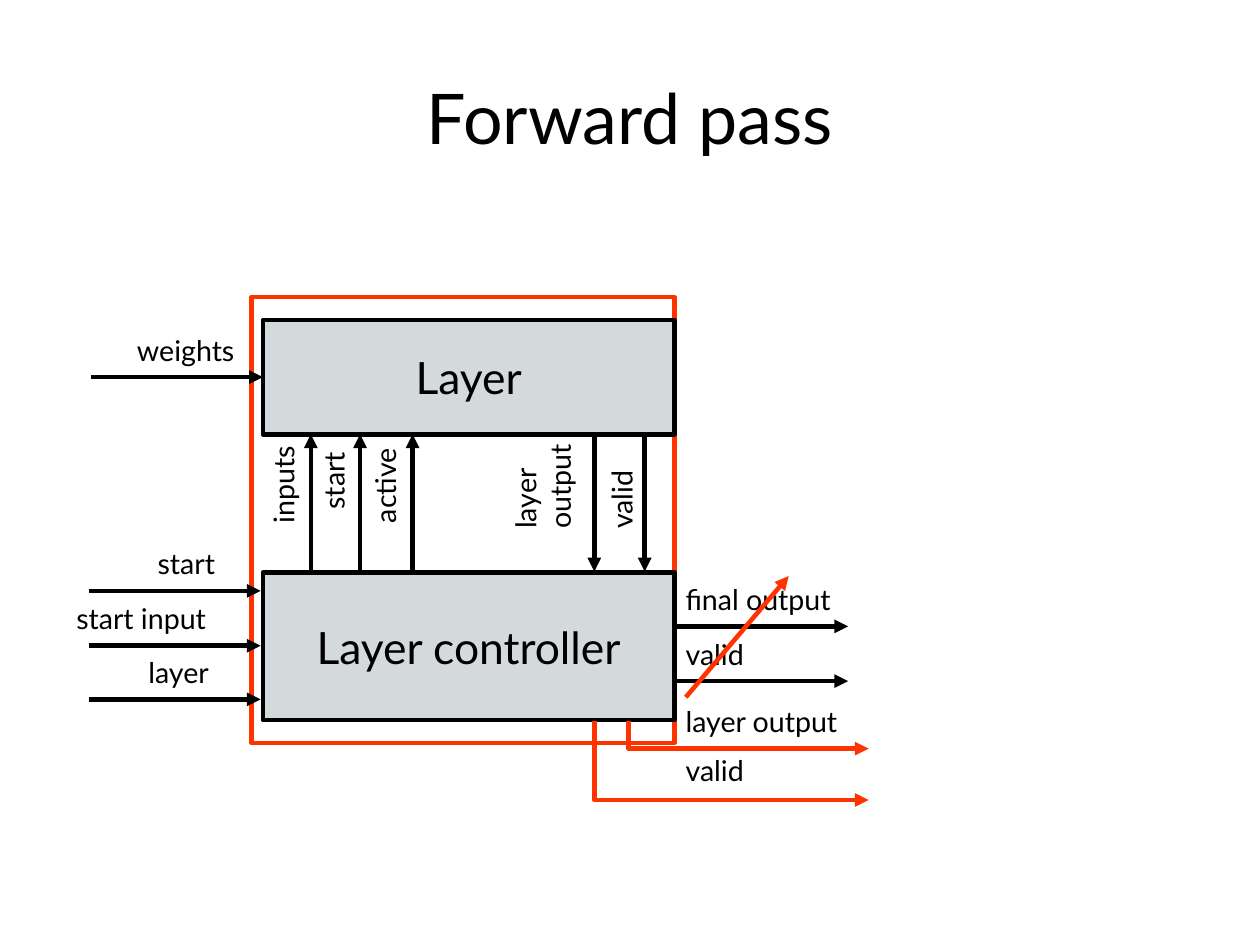
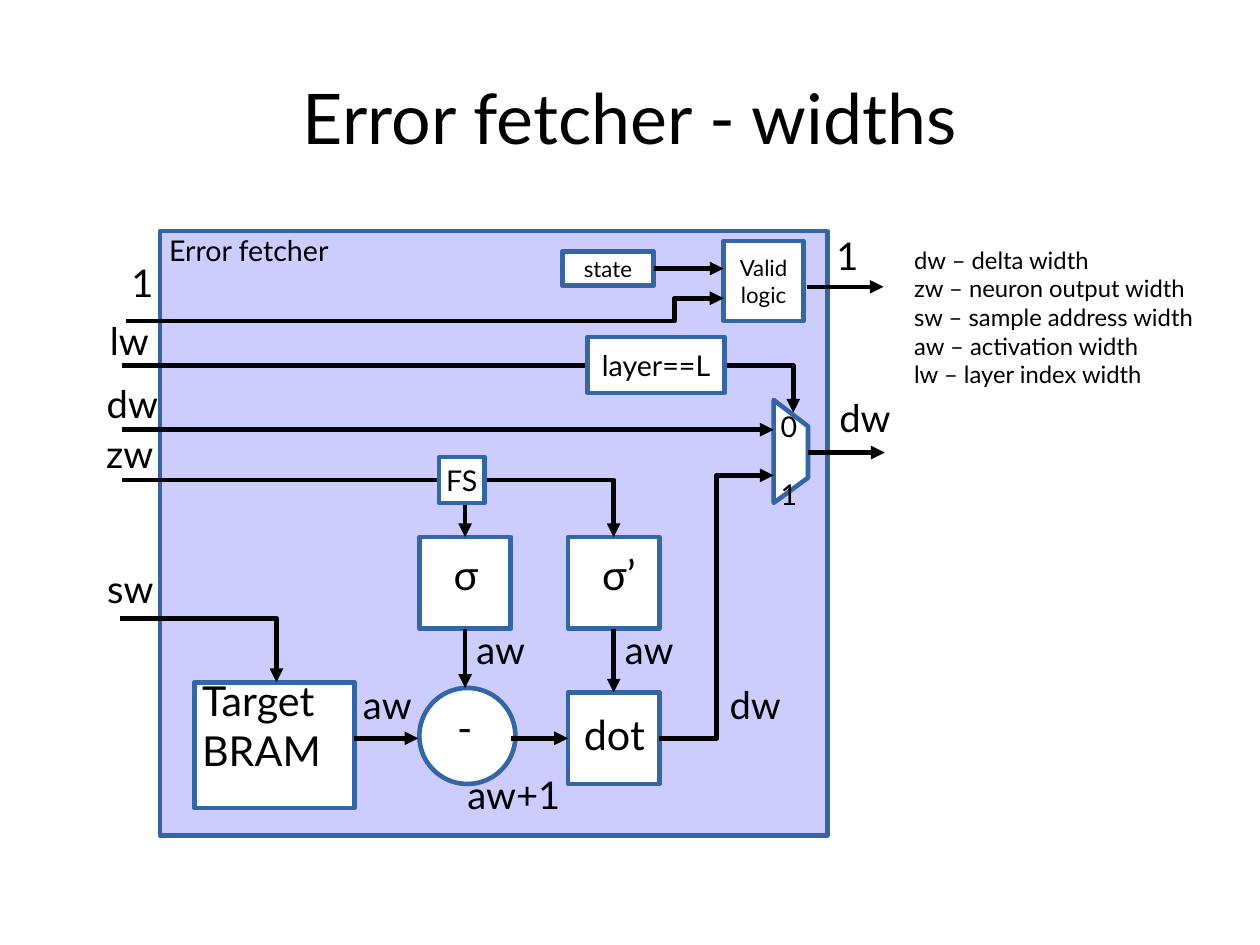
from lxml.etree import SubElement
from pptx import Presentation
from pptx.dml.color import RGBColor
from pptx.enum.shapes import MSO_CONNECTOR as CONN, MSO_SHAPE as SHAPE
from pptx.enum.text import MSO_ANCHOR as ANCHOR, PP_ALIGN as ALIGN
from pptx.oxml.ns import qn
from pptx.util import Pt

BLACK = RGBColor(0x00, 0x00, 0x00)
WHITE = RGBColor(0xFF, 0xFF, 0xFF)
RED = RGBColor(0xFF, 0x33, 0x00)
GREY = RGBColor(0xD4, 0xD9, 0xDB)
BLUE = RGBColor(0x34, 0x65, 0xA4)
LILAC = RGBColor(0xCC, 0xCC, 0xFF)

FONT = "Lato"
LINE_WIDTH = 2.89
LINE_HEIGHT = 1.22
INSETS = (7.2, 3.6, 7.2, 3.6)
TITLE_ONLY = 5


class Diagram:
    """Holds the shared style and the slide being drawn; lengths are points."""

    def __init__(self):
        self.prs = Presentation()
        self.prs.slide_width, self.prs.slide_height = Pt(793.7), Pt(595.3)

    def new_slide(self, title):
        slide = self.prs.slides.add_slide(self.prs.slide_layouts[TITLE_ONLY])
        self.shapes = slide.shapes
        sp = self.shapes.title
        sp.left, sp.top, sp.width, sp.height = map(Pt, (39.7, 23.8, 714.3, 99.2))
        self.set_text(sp, title, 44, ALIGN.CENTER, ANCHOR.MIDDLE, insets=(0,) * 4)

    def set_text(self, sp, text, size, align, anchor, wrap=True, insets=INSETS, gap=0):
        tf = sp.text_frame
        tf.text = text
        tf.word_wrap = wrap
        tf.vertical_anchor = anchor
        (tf.margin_left, tf.margin_top,
         tf.margin_right, tf.margin_bottom) = map(Pt, insets)
        for i, p in enumerate(tf.paragraphs):
            p.alignment = align
            p.font.name, p.font.size = FONT, Pt(size)
            p.font.color.rgb = BLACK
            if gap and i:
                p.space_before = Pt(gap)

    def outline(self, sp, color, arrow=False):
        sp.line.color.rgb = color
        sp.line.width = Pt(LINE_WIDTH)
        ln = sp._element.spPr.get_or_add_ln()
        SubElement(ln, qn("a:round"))
        if arrow:
            SubElement(ln, qn("a:tailEnd"), type="triangle")

    def paint(self, sp, fill, line):
        sp.shadow.inherit = False
        sp.fill.solid()
        sp.fill.fore_color.rgb = fill
        self.outline(sp, line)

    def box(self, x, y, w, h, fill=WHITE, line=BLUE, text="", size=18,
            shape=SHAPE.RECTANGLE, pad=None):
        """Centre the text, or start it at pad = (left, top) inside the box."""
        sp = self.shapes.add_shape(shape, Pt(x), Pt(y), Pt(w), Pt(h))
        self.paint(sp, fill, line)
        if pad:
            self.set_text(sp, text, size, ALIGN.LEFT, ANCHOR.TOP, insets=(*pad, 0, 0))
        elif text:
            self.set_text(sp, text, size, ALIGN.CENTER, ANCHOR.MIDDLE, wrap=False)

    def label(self, text, x, y, w, size=18, align=ALIGN.LEFT, turned=False, gap=0):
        """x, y is the visible top left corner; w is the length along the text."""
        breaks = text.count("\n")
        h = LINE_HEIGHT * size * (breaks + 1) + gap * breaks + 7.2
        if turned:
            x, y = x + (h - w) / 2, y + (w - h) / 2
        sp = self.shapes.add_textbox(Pt(x), Pt(y), Pt(w), Pt(h))
        sp.rotation = 270 if turned else 0
        self.set_text(sp, text, size, align, ANCHOR.TOP, gap=gap)

    def path_shape(self, points, close):
        points = [(Pt(x), Pt(y)) for x, y in points]
        builder = self.shapes.build_freeform(*points[0])
        builder.add_line_segments(points[1:], close=close)
        return builder.convert_to_shape()

    def wire(self, *points, color=BLACK):
        """Arrow through the points: a connector, or an outline if it bends."""
        if len(points) == 2:
            ends = [Pt(v) for point in points for v in point]
            sp = self.shapes.add_connector(CONN.STRAIGHT, *ends)
            self.outline(sp, color, arrow=True)
            SubElement(sp._element.spPr, qn("a:effectLst"))
        else:
            sp = self.path_shape(points, close=False)
            sp.shadow.inherit = False
            sp.fill.background()
            self.outline(sp, color, arrow=True)

    def polygon(self, *points):
        self.paint(self.path_shape(points, close=True), WHITE, BLUE)


def draw_forward_pass(d):
    d.new_slide("Forward pass")
    d.box(158.4, 187.2, 266.4, 280.8, line=RED)
    d.box(165.6, 201.6, 259.2, 72, GREY, BLACK, "Layer", 28)
    d.box(165.6, 360.7, 259.2, 92.9, GREY, BLACK, "Layer controller", 28)

    layer_bottom, controller_top = 273.6, 360
    for x in (195.8, 226.8, 259.9):
        d.wire((x, controller_top), (x, layer_bottom))
    for x in (374.4, 406.1):
        d.wire((x, layer_bottom), (x, controller_top))
    length = 70
    for text, x, bottom in (("inputs", 163.8, 336.6), ("start", 195.5, 328),
                            ("active", 227.9, 336.6),
                            ("layer\noutput", 316.4, 340.2),
                            ("valid", 376.9, 340.2)):
        d.label(text, x, bottom - length, length, turned=True)

    label_rise = 31.7
    for text, label_x, x, y in (("weights", 79.2, 57.6, 237.6),
                                ("start", 92.2, 56.2, 372.2),
                                ("start input", 41, 56.2, 406.8),
                                ("layer", 86.4, 56.2, 440.6),
                                ("final output", 424.8, 426.2, 394.6),
                                ("valid", 424.8, 426.2, 429.1)):
        d.label(text, label_x, y - label_rise, 118)
        d.wire((x, y), (x + 108, y))

    d.wire((432, 439.2), (496.8, 362.9), color=RED)
    for text, label_y, x, y in (("layer output", 439.9, 396, 471.6),
                                ("valid", 470.9, 374.4, 504)):
        d.wire((x, 454), (x, y), (547.2, y), color=RED)
        d.label(text, 424.8, label_y, 118)


def draw_error_fetcher(d):
    d.new_slide("Error fetcher - widths")
    d.box(100.8, 145.4, 420.5, 380.9, LILAC)
    d.label("Error fetcher", 99.4, 143.3, 123)

    sigma_x, prime_x, side = 264.2, 357.8, 57.6
    sigma_mid, prime_mid = sigma_x + side / 2, prime_x + side / 2
    sigma_y, dot_y, low_y = 338.4, 436.3, 465.1
    sigma_bottom = sigma_y + side
    d.box(sigma_x, sigma_y, side, side, text="σ", size=26, pad=(21.6, 7.9))
    d.box(prime_x, sigma_y, side, side, text="σ’", size=26, pad=(21.6, 7.9))
    d.box(prime_x, dot_y, side, side, text="dot", size=26, pad=(10, 10.8))
    d.box(sigma_x, 433.4, 60.5, 60.5, text="-", size=26, shape=SHAPE.OVAL,
          pad=(14.9, 0))
    d.box(122.4, 429.8, 100.8, 79.2)
    d.label("Target\nBRAM", 120.2, 421.9, 115, 26)
    d.box(455.8, 151.9, 50.4, 50.4, text="Valid\nlogic", size=14)
    d.box(354.2, 158.4, 57.6, 21.6, text="state", size=14)
    mux_x, mux_right = 487.4, 509
    d.polygon((mux_x, 316.8), (mux_x, 252), (mux_right, 268.6), (mux_right, 301))
    d.label("0\n1", 484.6, 254.2, 24.5, gap=21)

    for points in (
            ((321.8, low_y), (prime_x, low_y)),
            ((sigma_mid, sigma_bottom), (sigma_mid, 433.4)),
            ((prime_mid, sigma_bottom), (prime_mid, dot_y)),
            ((223.2, low_y), (263.5, low_y)),
            ((75.6, 389.5), (174.2, 389.5), (174.2, 429.8)),
            ((77, 302.4), (prime_mid, 302.4), (prime_mid, sigma_y)),
            ((sigma_mid, 302.4), (sigma_mid, sigma_y)),
            ((415.4, low_y), (451.4, low_y), (451.4, 299.5), (mux_x, 299.5)),
            ((77, 270.7), (mux_x, 270.7)),
            ((mux_right, 285.1), (557.3, 285.1)),
            ((77, 230.4), (499.7, 230.4), (499.7, 259.9)),
            ((508.3, 180.7), (556.6, 180.7)),
            ((79.2, 202.3), (424.8, 202.3), (424.8, 187.9), (455.8, 187.9)),
            ((411.8, 169.2), (455.8, 169.2))):
        d.wire(*points)

    d.box(370.1, 212.4, 86.4, 35.3, text="layer==L")
    d.box(276.5, 288, 28.8, 28.8, text="FS")

    for text, x, y in (("zw", 59.8, 267.8), ("sw", 60.5, 352.8),
                       ("aw", sigma_mid, 391), ("aw", prime_mid, 391)):
        d.label(text, x, y, 52, 24)
    width = 80
    for text, right, y in (("1", 103.7, 159.8), ("lw", 100.8, 196.6),
                           ("dw", 106.6, 236.2), ("1", 547.9, 142.6),
                           ("dw", 568.1, 244.8), ("aw", 266.4, 425.5),
                           ("aw+1", 360, 482.4), ("dw", 499, 425.5)):
        d.label(text, right - width, y, width, 24, ALIGN.RIGHT)
    d.label("dw – delta width\nzw – neuron output width\n"
            "sw – sample address width\naw – activation width\n"
            "lw – layer index width", 568.8, 151.2, 201.6, 15)


def main():
    d = Diagram()
    draw_forward_pass(d)
    draw_error_fetcher(d)
    d.prs.save("out.pptx")


if __name__ == "__main__":
    main()
